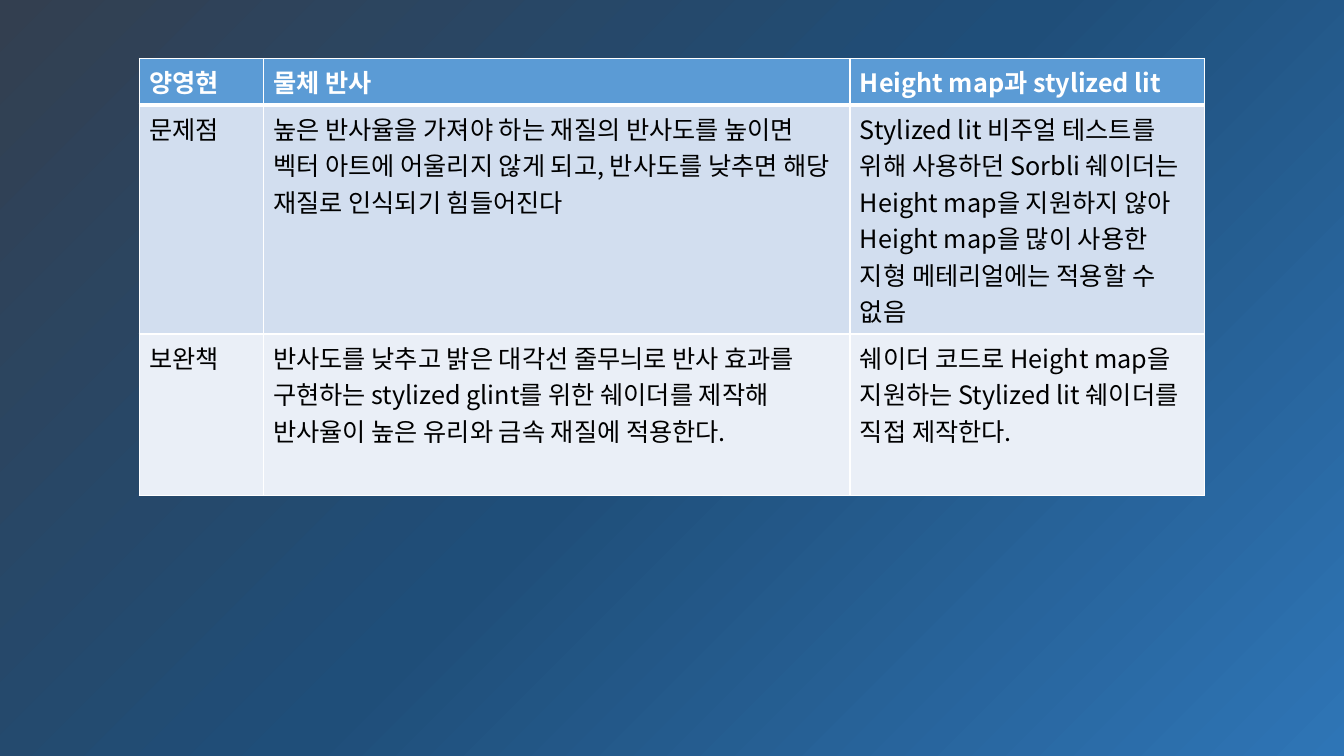
from copy import deepcopy

from lxml.etree import SubElement
from pptx import Presentation
from pptx.dml.color import RGBColor as RGB
from pptx.enum.shapes import MSO_SHAPE as SHAPE
from pptx.oxml import parse_xml
from pptx.oxml.ns import nsdecls, qn
from pptx.util import Inches, Pt

FONT = "Noto Sans CJK KR"
COLORS = {
    "slate": "333F50", "navy": "1F4E79", "blue": "2E75B6",
    "header": "5B9BD5", "problem": "D2DEEF", "remedy": "EAEFF7",
    "white": "FFFFFF", "black": "000000",
}
ROW_FILLS = ["header", "problem", "remedy"]
COLUMN_WIDTHS = [1.23, 5.82, 3.52]
ROW_HEIGHTS = [0.34, 1.52, 1.6]
ROWS = [
    ["양영현", "물체 반사", "Height map과 stylized lit"],
    ["문제점",
     "높은 반사율을 가져야 하는 재질의 반사도를 높이면 벡터 아트에 어울리지 않게 되고, "
     "반사도를 낮추면 해당 재질로 인식되기 힘들어진다",
     "Stylized lit 비주얼 테스트를 위해 사용하던 Sorbli 쉐이더는 Height map을 지원하지 않아 "
     "Height map을 많이 사용한 지형 메테리얼에는 적용할 수 없음"],
    ["보완책",
     "반사도를 낮추고 밝은 대각선 줄무늬로 반사 효과를 구현하는 stylized glint를 위한 "
     "쉐이더를 제작해 반사율이 높은 유리와 금속 재질에 적용한다.",
     "쉐이더 코드로 Height map을 지원하는 Stylized lit 쉐이더를 직접 제작한다."],
]


def color(name):
    """Return the named palette colour."""
    return RGB.from_string(COLORS[name])


def add_backdrop(slide, left, top, width, height):
    """Fill the box with the diagonal three-colour gradient."""
    shape = slide.shapes.add_shape(SHAPE.RECTANGLE, left, top, width, height)
    shape.shadow.inherit = False
    shape.line.fill.background()
    shape.fill.gradient()
    shape.fill.gradient_angle = 315
    first_stop = shape._element.spPr.find(".//" + qn("a:gs"))
    first_stop.addnext(deepcopy(first_stop))
    stops = zip(shape.fill.gradient_stops, ["slate", "navy", "blue"])
    for index, (stop, name) in enumerate(stops):
        stop.position = index / 2
        stop.color.rgb = color(name)


def set_borders(cell, bottom_width):
    """Draw white borders round a cell, with its own bottom width."""
    properties = cell._tc.get_or_add_tcPr()
    for index, side in enumerate("LRTB"):
        width = Pt(bottom_width if side == "B" else 1)
        properties.insert(index, parse_xml(
            f'<a:ln{side} {nsdecls("a")} w="{width}"><a:solidFill>'
            f'<a:srgbClr val="{COLORS["white"]}"/></a:solidFill></a:ln{side}>'))


def fill_cell(cell, text, fill_name, is_header):
    """Write and format one table cell."""
    cell.fill.solid()
    cell.fill.fore_color.rgb = color(fill_name)
    set_borders(cell, 3 if is_header else 1)
    cell.text_frame.text = text
    font = cell.text_frame.paragraphs[0].runs[0].font
    font.name = FONT
    font.size = Pt(18)
    font.bold = is_header
    font.color.rgb = color("white" if is_header else "black")
    SubElement(font._element, qn("a:ea")).set("typeface", FONT)


def add_review_table(slide, left, top):
    """Place the table of problems and remedies at the given corner."""
    table = slide.shapes.add_table(
        len(ROWS), len(COLUMN_WIDTHS), left, top,
        Inches(sum(COLUMN_WIDTHS)), Inches(sum(ROW_HEIGHTS))).table
    for column, width in zip(table.columns, COLUMN_WIDTHS):
        column.width = Inches(width)
    for row_index, (row, height) in enumerate(zip(table.rows, ROW_HEIGHTS)):
        row.height = Inches(height)
        for cell, text in zip(row.cells, ROWS[row_index]):
            fill_cell(cell, text, ROW_FILLS[row_index], row_index == 0)


def main():
    """Build and save the slide."""
    presentation = Presentation()
    presentation.slide_width = Inches(13.33)
    presentation.slide_height = Inches(7.5)
    slide = presentation.slides.add_slide(presentation.slide_layouts[6])
    add_backdrop(slide, 0, 0, presentation.slide_width, presentation.slide_height)
    add_review_table(slide, Inches(1.38), Inches(0.58))
    presentation.save("out.pptx")


if __name__ == "__main__":
    main()
